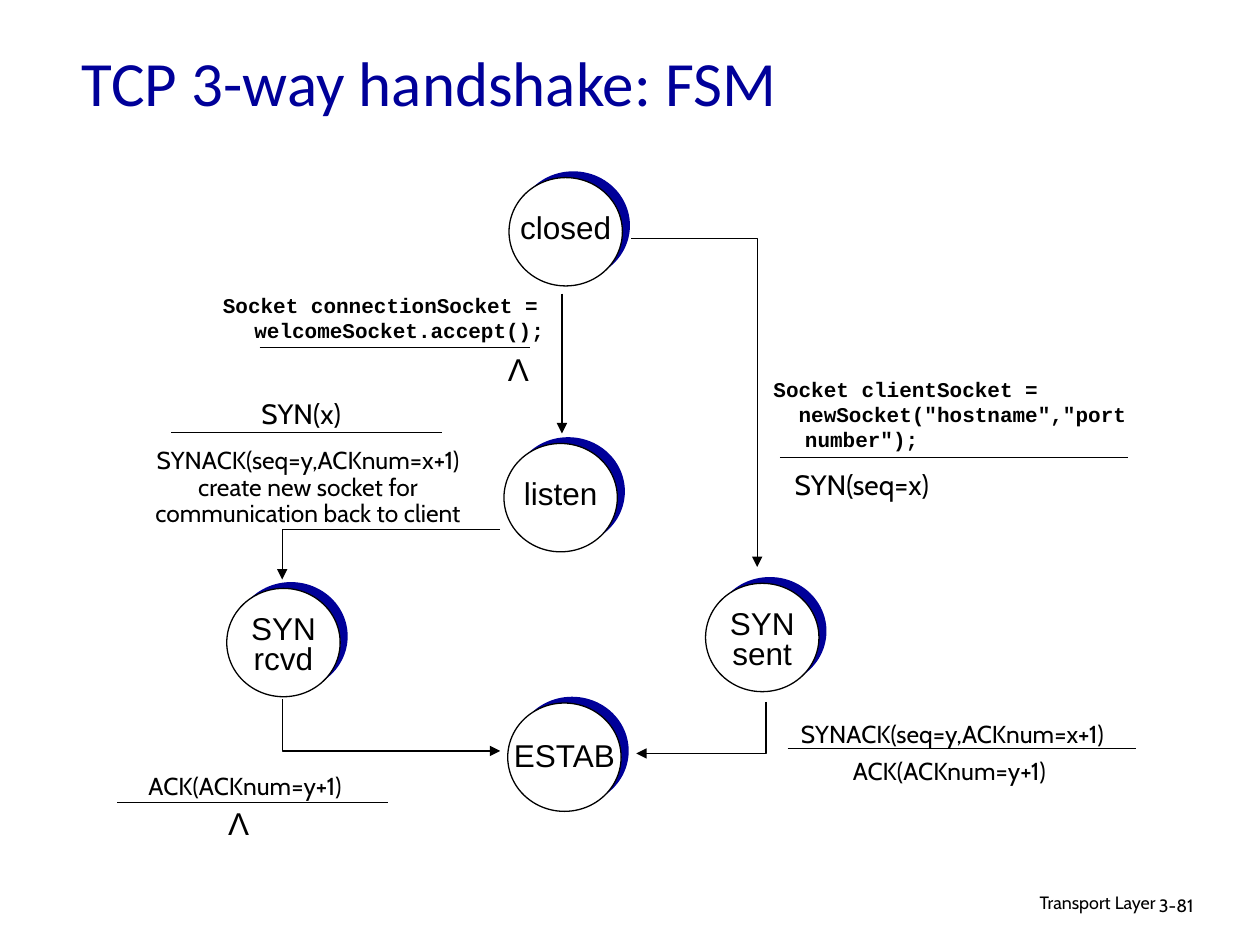
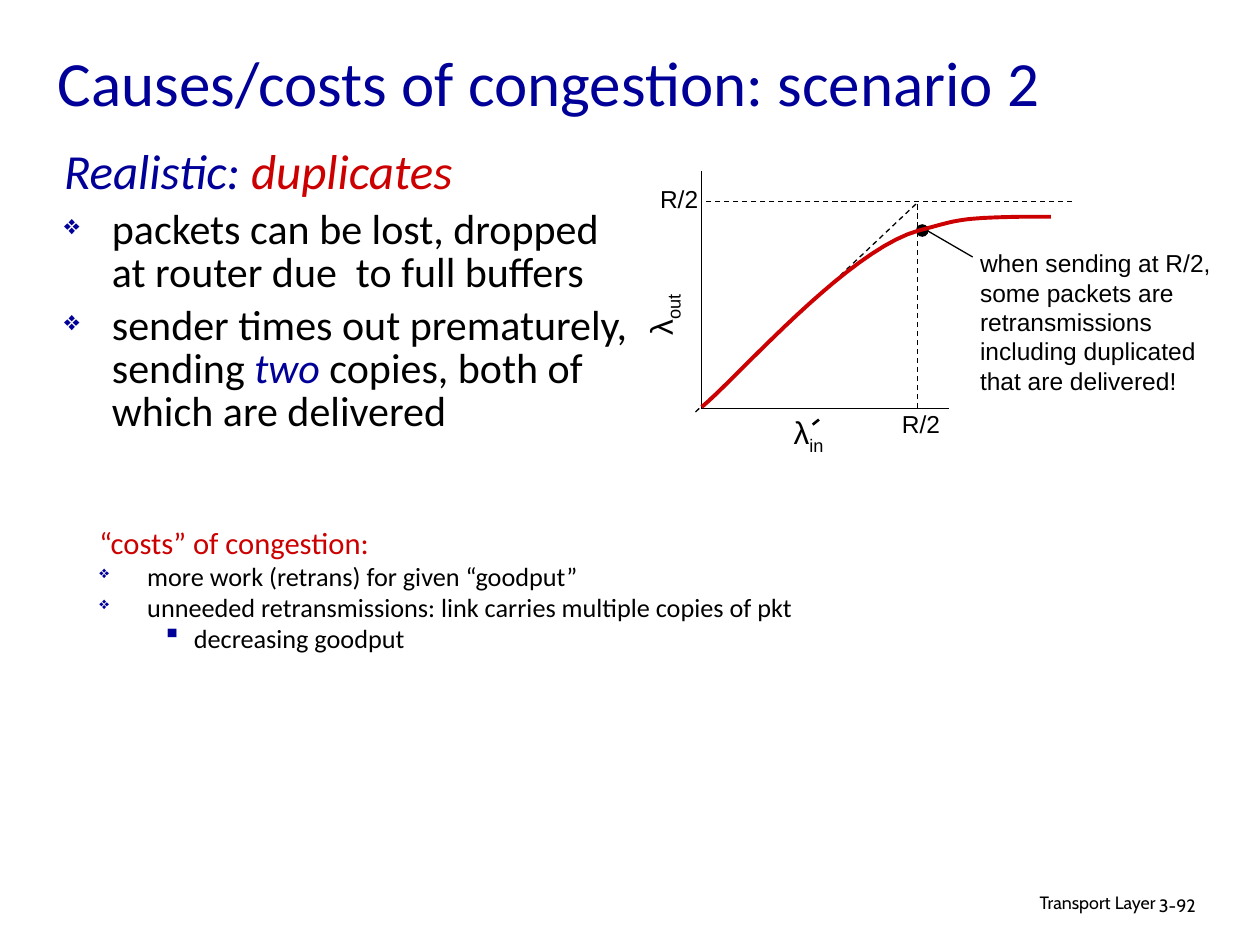
from dataclasses import dataclass

from lxml import etree
from pptx import Presentation
from pptx import util as u
from pptx.dml.color import RGBColor
from pptx.enum import dml, shapes, text
from pptx.oxml.ns import qn

PX = 9144  # EMU in one px, 100 px to the inch


@dataclass(frozen=True)
class Theme:
    ink: RGBColor = RGBColor(0, 0, 0)
    blue: RGBColor = RGBColor(0, 0, 0x99)
    red: RGBColor = RGBColor(0xCC, 0, 0)
    white: RGBColor = RGBColor(0xFF, 0xFF, 0xFF)
    body: str = "Calibri"
    label: str = "Arial"
    event: str = "Cabin"
    code: str = "Courier New"
    title: int = 36
    head: int = 28
    point: int = 24
    state: int = 18
    cost: float = 17.5
    large: int = 16
    item: int = 15
    small: int = 14
    mono: int = 12
    foot: float = 10.2


look = Theme()
LEFT, MID, RIGHT = text.PP_ALIGN.LEFT, text.PP_ALIGN.CENTER, text.PP_ALIGN.RIGHT


def write(slide, area, words, face, size, align=LEFT, wrap=False, pitch=None):
    """Add a text box; a newline parts paragraphs and a bar parts runs."""
    box = slide.shapes.add_textbox(*[n * PX for n in area])
    frame = box.text_frame
    frame.word_wrap = wrap
    frame.text = words.replace("|", "")
    for par, line in zip(frame.paragraphs, words.split("\n")):
        par.alignment = align
        par.line_spacing = pitch
        first, *rest = line.split("|")
        par.runs[0].text = first
        for part in rest:
            par.add_run().text = part
        for run in par.runs:
            run.font.name, run.font.size = face, u.Pt(size)
            run.font.color.rgb = look.ink
    return box


def link(slide, spots, tint=look.ink, width=0.75, dash=False, arrow=False):
    """Draw a line through the spots, with an arrowhead at the last one."""
    spots = [(round(x * PX), round(y * PX)) for x, y in spots]
    if len(spots) == 2:
        line = slide.shapes.add_connector(
            shapes.MSO_CONNECTOR.STRAIGHT, *spots[0], *spots[1])
        etree.SubElement(line._element.spPr, qn("a:effectLst"))
    else:
        path = slide.shapes.build_freeform(*spots[0])
        path.add_line_segments(spots[1:], close=False)
        line = path.convert_to_shape()
        line.fill.background()
        line.shadow.inherit = False
    line.line.color.rgb = tint
    line.line.width = u.Pt(width)
    if dash:
        line.line.dash_style = dml.MSO_LINE.DASH
    if arrow:
        etree.SubElement(line.line._get_or_add_ln(), qn("a:tailEnd"), type="triangle")


deck = Presentation()
deck.slide_width, deck.slide_height = 1000 * PX, 750 * PX

# Titles and footers
pages = []
for name, number, area in [
    ("TCP 3-way handshake: FSM", "3-81", (55, 18, 586, 93)),
    ("Causes/costs of congestion: scenario 2", "3-92", (36, 17, 850, 95)),
]:
    page = deck.slides.add_slide(deck.slide_layouts[5])
    title = page.shapes.title
    title.left, title.top, title.width, title.height = [n * PX for n in area]
    title.text_frame.text = name
    title.text_frame.vertical_anchor = text.MSO_ANCHOR.MIDDLE
    par = title.text_frame.paragraphs[0]
    par.alignment = LEFT
    font = par.runs[0].font
    font.name, font.size, font.color.rgb = look.body, u.Pt(look.title), look.blue
    write(page, (610, 705, 317, 31), "Transport Layer", look.event, look.foot,
          RIGHT, True, 0.9)
    write(page, (910, 707, 74, 30), number, look.event, look.foot, LEFT, True, 0.9)
    pages.append(page)
fsm, jam = pages

# States: a white disc over a blue one, with its label
for name, x, y, drop, pitch in [
    ("closed", 410, 136, 24, None),
    ("listen", 406, 347, 24, None),
    ("SYN\nrcvd", 186, 462, 22, 0.8),
    ("SYN\nsent", 566, 458, 22, 0.8),
    ("ESTAB", 409, 553, 32, 0.8),
]:
    for left, top, tint in [(x, y, look.blue), (x - 6, y + 5, look.white)]:
        disc = fsm.shapes.add_shape(shapes.MSO_SHAPE.OVAL, left * PX, top * PX,
                                    90 * PX, 86 * PX)
        disc.shadow.inherit = False
        disc.fill.solid()
        disc.fill.fore_color.rgb = tint
        if tint == look.white:
            disc.line.color.rgb = look.ink
            disc.line.width = u.Pt(0.75)
        else:
            disc.line.fill.background()
    write(fsm, (x - 11, y + drop, 100, 40), name, look.label, look.state,
          MID, False, pitch)

# Moves between states
for spots in [
    [(501, 189), (601, 189), (601, 450)],
    [(446, 233), (446, 344)],
    [(397, 420), (224, 420), (224, 460)],
    [(224, 555), (224, 596), (397, 596)],
    [(608, 557), (608, 598), (505, 598)],
]:
    link(fsm, spots, arrow=True)

# Bars between event and action
for left, right, y in [(619, 895, 363), (206, 421, 276), (136, 351, 343),
                       (625, 902, 594), (93, 308, 637)]:
    link(fsm, [(left, y), (right, y)])

# Events and actions
for area, words, face, size, pitch in [
    ((393, 273, 37, 40), "Λ", look.label, look.state, None),
    ((171, 633, 37, 40), "Λ", look.label, look.state, None),
    ((616, 366, 136, 37), "SYN(seq=x)", look.event, look.large, None),
    ((196, 310, 86, 37), "SYN(x)", look.event, look.large, None),
    ((100, 351, 289, 73), "SYNACK(seq=y,ACKnum=x+1)\ncreate new socket for\n"
     "communication back to client", look.event, look.small, 0.9),
    ((613, 568, 286, 31), "SYNACK(seq=y,ACKnum=x+1)", look.event, look.small, 0.9),
    ((658, 598, 191, 31), "ACK(ACKnum=y+1)", look.event, look.small, 0.9),
    ((99, 610, 191, 31), "ACK(ACKnum=y+1)", look.event, look.small, 0.9),
]:
    write(fsm, area, words, face, size, MID, False, pitch)

# Socket calls
for area, words in [
    ((604, 294, 316, 70),
     'Socket clientSocket =\n  newSocket("hostname","port number");'),
    ((167, 227, 282, 50), "Socket connectionSocket = welcomeSocket.accept();"),
]:
    call = write(fsm, area, words, look.code, look.mono, wrap=True)
    for par in call.text_frame.paragraphs:
        par._p.get_or_add_pPr().set("marL", str(25 * PX))
        par._p.get_or_add_pPr().set("indent", str(-25 * PX))
        par.runs[0].font.bold = True

# Plot: axes and guides
for spots, dash in [
    ([(557, 136), (557, 324)], False),
    ([(753, 324), (556, 324)], False),
    ([(851, 160), (556, 160)], True),
    ([(552, 327), (729, 160)], True),
    ([(728, 324), (728, 162)], True),
]:
    link(jam, spots, dash=dash)

# Plot: marked point and its note
dot = jam.shapes.add_shape(shapes.MSO_SHAPE.OVAL, 727 * PX, 178 * PX, 10 * PX, 10 * PX)
dot.shadow.inherit = False
dot.fill.solid()
dot.fill.fore_color.rgb = look.ink
dot.line.fill.background()
write(jam, (768, 192, 206, 127),
      "when sending at R/2, some packets are retransmissions including "
      "duplicated that are delivered!", look.label, look.small, wrap=True)
link(jam, [(772, 204), (729, 179)], arrow=True)

# Plot: throughput curve, sampled from joined cubic arcs
knots = [(557, 323), (585, 300), (672, 199), (729, 183), (760, 175), (758, 173),
         (811, 172), (834, 172), (829, 172), (834, 172)]
steps = 20
curve = [knots[0]]
for k in range(0, len(knots) - 1, 3):
    for step in range(1, steps + 1):
        t = step / steps
        rate = [(1 - t) ** 3, 3 * t * (1 - t) ** 2, 3 * t * t * (1 - t), t ** 3]
        curve.append([sum(r * p[axis] for r, p in zip(rate, knots[k:k + 4]))
                      for axis in (0, 1)])
link(jam, curve, look.red, 2.25)

# Plot: axis labels
for x, y in [(514, 141), (706, 320)]:
    write(jam, (x, y, 50, 34), "R/2", look.label, look.small)
for area, words, turn in [((492, 220, 68, 44), "λ|out", 270),
                          ((620, 323, 45, 44), "λ|in", 0)]:
    rate = write(jam, area, words, look.label, look.state)
    rate.rotation = turn
    sub = rate.text_frame.paragraphs[0].runs[1]
    sub._r.get_or_add_rPr().set("baseline", "-25000")
link(jam, [(645, 337), (650, 333)], width=1.5)

# Scenario and cost lists
facts = write(jam, (41, 114, 471, 210),
              "Realistic: |duplicates\n"
              "packets can be lost, dropped at router due  to full buffers\n"
              "sender times out prematurely, sending |two |copies, both of "
              "which are delivered", look.body, look.point, LEFT, True, 0.85)
costs = write(jam, (69, 420, 891, 108),
              "“costs” of congestion:\n"
              "more work (retrans) for given “goodput”\n"
              "unneeded retransmissions: link carries multiple copies of pkt\n"
              "decreasing goodput", look.body, look.item, LEFT, True, 0.65)
for box in (facts, costs):
    for row, par in enumerate(box.text_frame.paragraphs):
        deep = row == 3
        left, hang, mark = (75, 25, "▪") if deep else (38, 38, "❖")
        par.level = int(deep)
        prop = par._p.get_or_add_pPr()
        prop.set("marL", str(left * PX))
        prop.set("indent", str(-hang * PX))
        if row == 0:
            continue
        par.space_before = u.Pt(6)
        tint = etree.SubElement(prop, qn("a:buClr"))
        etree.SubElement(tint, qn("a:srgbClr"), val=str(look.blue))
        if not deep:
            etree.SubElement(prop, qn("a:buSzPct"), val="65000")
        etree.SubElement(prop, qn("a:buChar"), char=mark)

# Stressed words
rows = facts.text_frame.paragraphs
lead, copy = rows[0].runs
for run, tint in [(lead, look.blue), (copy, look.red), (rows[2].runs[1], look.blue)]:
    run.font.italic = True
    run.font.color.rgb = tint
for run in (lead, copy):
    run.font.size = u.Pt(look.head)
head = costs.text_frame.paragraphs[0].runs[0].font
head.size, head.color.rgb = u.Pt(look.cost), look.red

deck.save("out.pptx")
